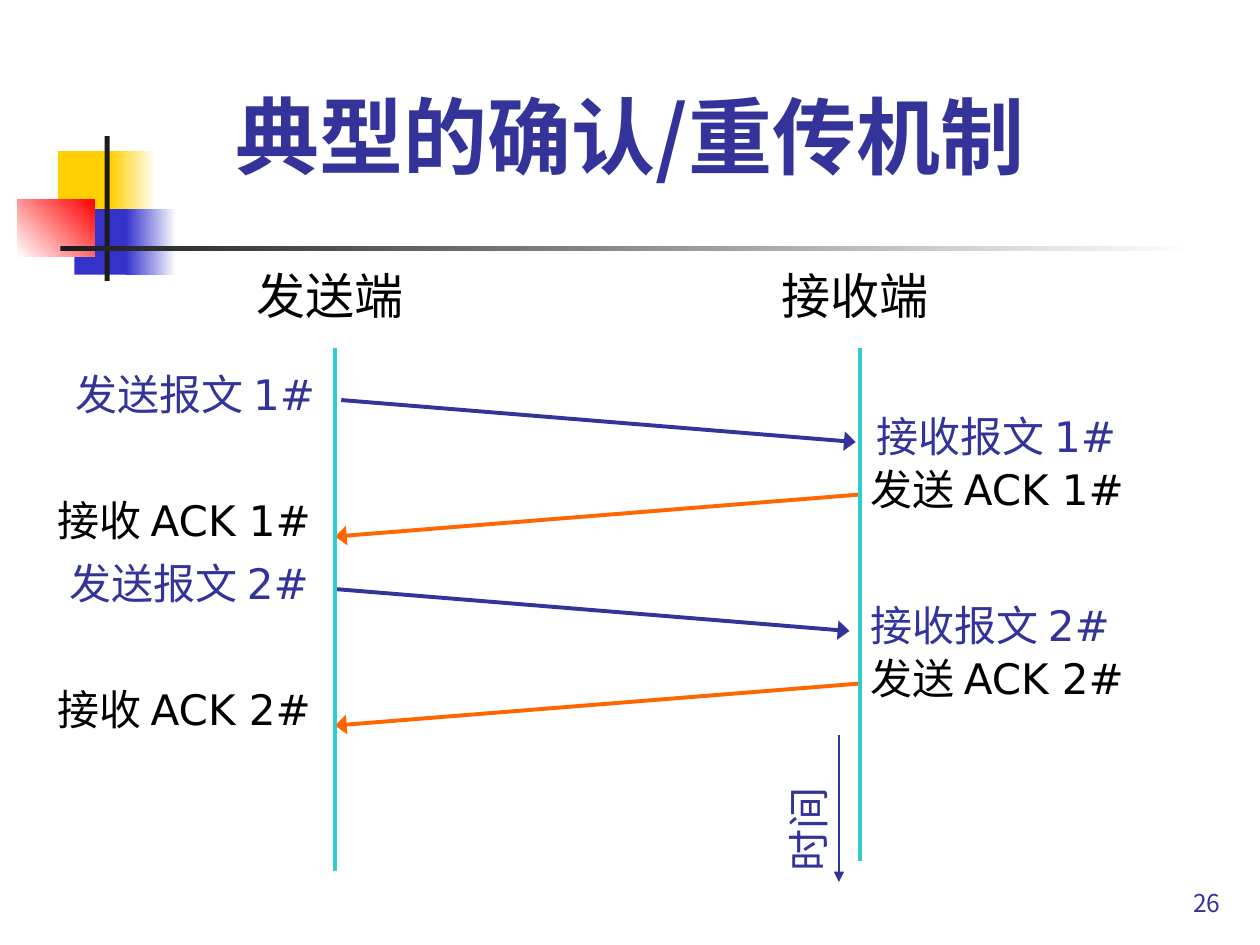
from pptx import Presentation
from pptx.dml.color import RGBColor
from pptx.enum.shapes import MSO_CONNECTOR, MSO_SHAPE
from pptx.enum.text import MSO_ANCHOR, PP_ALIGN
from pptx.oxml.ns import qn
from pptx.util import Inches, Pt
from lxml import etree

RECT, LINE = MSO_SHAPE.RECTANGLE, MSO_CONNECTOR.STRAIGHT
LEFT, MID, RIGHT = PP_ALIGN.LEFT, PP_ALIGN.CENTER, PP_ALIGN.RIGHT
TOP, CENTER, BOTTOM = MSO_ANCHOR.TOP, MSO_ANCHOR.MIDDLE, MSO_ANCHOR.BOTTOM
SANS, CJK = "DejaVu Sans", "Noto Sans CJK JP"

NAVY = RGBColor(0x33, 0x33, 0x99)
BLUE = RGBColor(0x33, 0x33, 0xCC)
GOLD = RGBColor(0xFF, 0xCF, 0x01)
RED = RGBColor(0xFF, 0, 0)
ORANGE = RGBColor(0xFF, 0x66, 0)
TEAL = RGBColor(0x33, 0xCC, 0xCC)
DARK = RGBColor(0x1C, 0x1C, 0x1C)
BLACK = RGBColor(0, 0, 0)
WHITE = RGBColor(0xFF, 0xFF, 0xFF)

deck = Presentation()
deck.slide_width, deck.slide_height = Inches(10), Inches(7.5)
UNIT = deck.slide_width / 120  # square grid of 120 columns by 90 rows
slide = deck.slides.add_slide(deck.slide_layouts[6])
shapes = slide.shapes


def label(text, box, size, color, align=LEFT, anchor=TOP, font=SANS, pad=(0, 0)):
    """Add one line of text; box is in grid units, pad in inches (side, top)."""
    shape = shapes.add_textbox(*[round(n * UNIT) for n in box])
    frame = shape.text_frame
    frame.word_wrap = True
    frame.vertical_anchor = anchor
    frame.margin_left = frame.margin_right = Inches(pad[0])
    frame.margin_top = frame.margin_bottom = Inches(pad[1])
    par = frame.paragraphs[0]
    par.text = text
    par.alignment = align
    par.font.size, par.font.name = Pt(size), font
    par.font.color.rgb = color
    return shape


def stroke(ends, color, width=2.25, head="lg"):
    """Draw a line between two grid points; head is the arrowhead's breadth."""
    line = shapes.add_connector(LINE, *[round(n * UNIT) for n in ends])
    line.line.color.rgb = color
    line.line.width = Pt(width)
    if head:
        tail = etree.SubElement(line.line._get_or_add_ln(), qn("a:tailEnd"))
        tail.set("type", "triangle")
        tail.set("w", head)
    etree.SubElement(line._element.spPr, qn("a:effectLst"))


# Corner ornament and title rule: box in inches, colours, angle
ORNAMENT = [
    ((0.46, 1.2, 0.48, 0.52), (GOLD,), 0),
    ((0.88, 1.2, 0.36, 0.52), (GOLD, WHITE), 0),
    ((0.59, 1.66, 0.46, 0.52), (BLUE,), 0),
    ((1, 1.66, 0.4, 0.52), (BLUE, WHITE), 0),
    ((0.14, 1.58, 0.61, 0.46), (WHITE, RED), 45),
    ((0.83, 1.08, 0.04, 1.15), (DARK,), 0),
    ((0.48, 1.95, 9, 0.04), (DARK, WHITE), 0),
]
for box, colors, angle in ORNAMENT:
    block = shapes.add_shape(RECT, *[Inches(n) for n in box])
    block.shadow.inherit = False
    block.line.fill.background()
    if len(colors) == 1:
        block.fill.solid()
        block.fill.fore_color.rgb = colors[0]
    else:
        block.fill.gradient()
        block.fill.gradient_angle = angle
        for stop, color, place in zip(block.fill.gradient_stops, colors, (0, 1)):
            stop.color.rgb = color
            stop.position = place

PAD = (0.1, 0.05)
title = label("典型的确认/重传机制", (10, 7.2, 100, 11), 48, NAVY, MID, BOTTOM,
              CJK, PAD)
title.text_frame.paragraphs[0].font.bold = True

# Two rounds of message and acknowledgement, 18 rows apart
SENDER, TAKER, WIDE = 31.9, 81.9, 27
for turn in range(2):
    num = f"{turn + 1}#"
    row = 35.1 + 18 * turn
    shift = -0.6 * turn
    label(f"发送报文 {num}", (3 + shift, row, WIDE, 6), 24, NAVY, RIGHT)
    label(f"接收报文 {num}", (83.5 + shift, row + 4, WIDE, 5), 24, NAVY)
    stroke((32.5 + shift, row + 3, 81.5 + shift, row + 7), NAVY)
    label(f"接收 ACK {num}", (2.6, row + 12, WIDE, 5), 24, BLACK, RIGHT)
    stroke((TAKER, row + 12, SENDER, row + 16), ORANGE)
    label(f"发送 ACK {num}", (82.9, row + 9, WIDE, 5), 24, BLACK)

for name, x, end in (("发送端", SENDER, 83), ("接收端", TAKER, 82)):
    stroke((x, 33.1, x, end), TEAL, head=None)
    label(name, (x - 11, 25.1, 21, 6), 28, BLACK, MID, CENTER, pad=PAD)

stroke((79.9, 70, 79.9, 84), NAVY, 1.5, "med")
time = label("时间", (70.9, 77, 12, 4), 24, NAVY, MID, CENTER, pad=PAD)
time.rotation = 270

label("26", (92.4, 82, 25, 6), 14, NAVY, RIGHT, BOTTOM, CJK, PAD)

deck.save("out.pptx")
